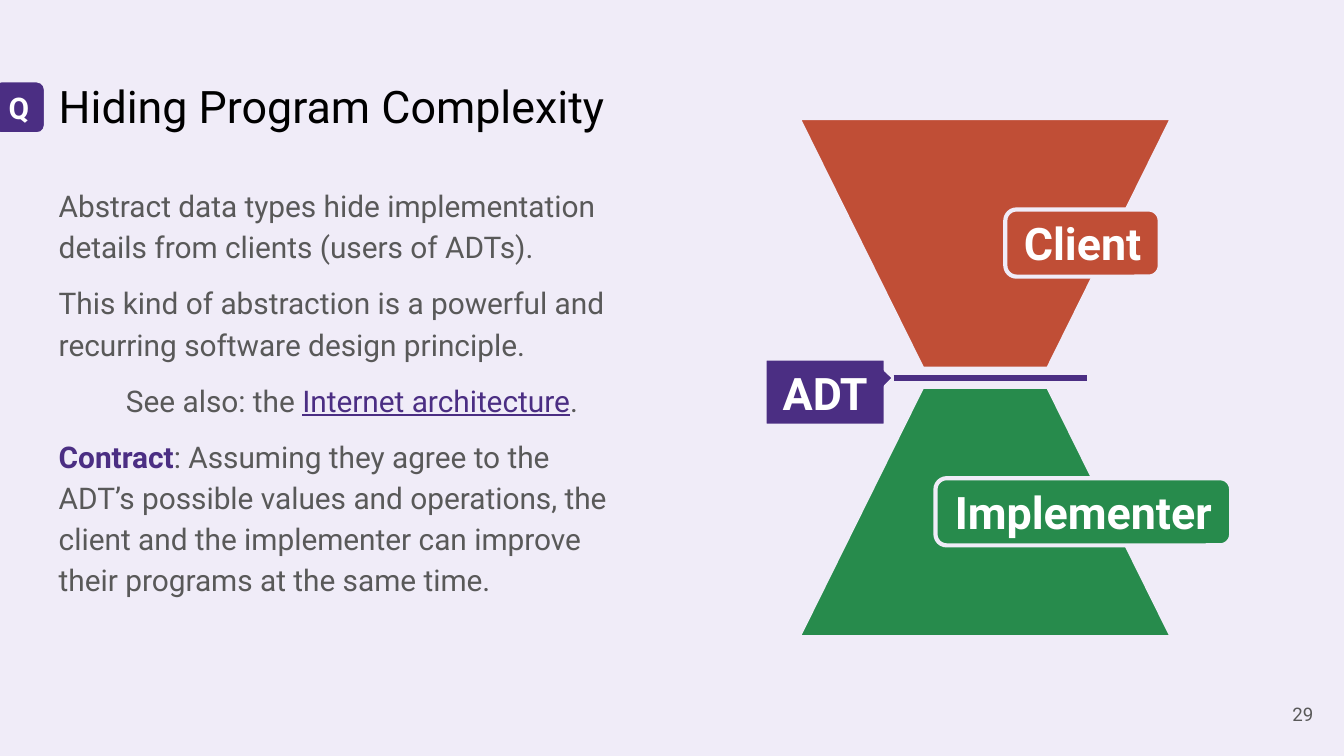
from lxml.etree import SubElement
from pptx import Presentation
from pptx.dml.color import RGBColor
from pptx.enum.shapes import MSO_CONNECTOR, MSO_SHAPE as Shape
from pptx.enum.text import MSO_ANCHOR as Anchor, MSO_AUTO_SIZE as AutoSize, PP_ALIGN as Align
from pptx.oxml.ns import qn
from pptx.util import Cm, Pt

PAPER, PURPLE, GREY, BLACK, WHITE = "F0ECF8", "4B2E83", "595959", "000000", "FFFFFF"
RED, GREEN = "C04E36", "278B4C"


def add_run(paragraph, text, size, color, bold=False, underline=False):
    run = paragraph.add_run()
    run.text = text
    font = run.font
    font.name, font.size, font.bold, font.underline = "Roboto", Pt(size), bold, underline
    font.color.rgb = RGBColor.from_string(color)


def set_frame(frame, anchor):
    """Apply the common margins and wrapping, and return the first paragraph."""
    frame.margin_left = frame.margin_right = frame.margin_top = frame.margin_bottom = Cm(0.25)
    frame.word_wrap = True
    frame.auto_size = AutoSize.NONE
    frame.vertical_anchor = anchor
    return frame.paragraphs[0]


prs = Presentation()
prs.slide_width, prs.slide_height = Cm(25.4), Cm(14.29)
slide = prs.slides.add_slide(prs.slide_layouts[1])
slide.background.fill.solid()
slide.background.fill.fore_color.rgb = RGBColor.from_string(PAPER)

# Title and body text
title, body = slide.shapes.title, slide.placeholders[1]
for holder, top, height in [(title, 1.24, 1.6), (body, 3.2, 9.5)]:
    holder.left, holder.top = Cm(0.86), Cm(top)
    holder.width, holder.height = Cm(10.97), Cm(height)

heading = set_frame(title.text_frame, Anchor.TOP)
heading.alignment = Align.LEFT
add_run(heading, "Hiding Program Complexity", 24, BLACK)

# Each paragraph: left indent in cm, then its runs as (text, color, bold, underline)
paragraphs = [
    (0, [("Abstract data types hide implementation details from clients (users of ADTs).", GREY)]),
    (0, [("This kind of abstraction is a powerful and recurring software design principle.", GREY)]),
    (1.27, [("See also: the ", GREY),
            ("Internet architecture", PURPLE, False, True),
            (".", GREY)]),
    (0, [("Contract", PURPLE, True),
         (": Assuming they agree to the ADT’s possible values and operations, the client "
          "and the implementer can improve their programs at the same time.", GREY)]),
]
paragraph = set_frame(body.text_frame, Anchor.TOP)
for number, (indent, runs) in enumerate(paragraphs):
    if number:
        paragraph = body.text_frame.add_paragraph()
    paragraph.line_spacing = 1.15
    paragraph.space_before = Pt(8 if number else 0)
    properties = paragraph._p.get_or_add_pPr()
    properties.set("marL", str(Cm(indent)))
    properties.set("indent", "0")
    SubElement(properties, qn("a:buNone"))
    for text, color, *style in runs:
        add_run(paragraph, text, 16, color, *style)
paragraph.space_after = Pt(8)

page_number = slide.shapes.add_textbox(Cm(23.55), Cm(12.95), Cm(1.52), Cm(1.09))
page = set_frame(page_number.text_frame, Anchor.MIDDLE)
page.alignment = Align.RIGHT
add_run(page, "29", 10, GREY)

# Hourglass halves and labels:
# preset, left, top, width, height, adjustments, rotation, fill, outline, text, size
middle = 7.14
half_height = 5.08
rounded = [0.167]
parts = [
    (Shape.TRAPEZOID, 14.81, middle, 7.62, half_height, [0.495], 0, GREEN, 12, "", 0),
    (Shape.TRAPEZOID, 14.81, middle - half_height, 7.62, half_height, [0.495], 180, RED, 12, "", 0),
    (Shape.ROUNDED_RECTANGLE, 17.68, 9.04, 5.59, 1.27, rounded, 0, GREEN, 2.25, "Implementer", 24),
    (Shape.ROUNDED_RECTANGLE, 19, 3.96, 2.92, 1.27, rounded, 0, RED, 2.25, "Client", 24),
    (Shape.ROUNDED_RECTANGULAR_CALLOUT, 14.45, 6.78, 2.29, 1.27, [0.572, -0.213, 0], 0,
     PURPLE, 2.25, "ADT", 24),
    (Shape.ROUNDED_RECTANGLE, -0.15, 1.52, 1.02, 1.02, rounded, 0, PURPLE, 2.25, "Q", 16),
]
for preset, left, top, width, height, adjustments, rotation, fill, outline, text, size in parts:
    part = slide.shapes.add_shape(preset, Cm(left), Cm(top), Cm(width), Cm(height))
    for index, value in enumerate(adjustments):
        part.adjustments[index] = value
    part.rotation = rotation
    part.shadow.inherit = False
    part.fill.solid()
    part.fill.fore_color.rgb = RGBColor.from_string(fill)
    part.line.color.rgb = RGBColor.from_string(PAPER)
    part.line.width = Pt(outline)
    if text:
        label = set_frame(part.text_frame, Anchor.MIDDLE)
        label.alignment = Align.CENTER
        add_run(label, text, size, WHITE, bold=True)

boundary = slide.shapes.add_connector(
    MSO_CONNECTOR.STRAIGHT, Cm(16.89), Cm(middle), Cm(20.55), Cm(middle))
boundary.line.color.rgb = RGBColor.from_string(PURPLE)
boundary.line.width = Pt(3)
SubElement(boundary._element.spPr, qn("a:effectLst"))

prs.save("out.pptx")
